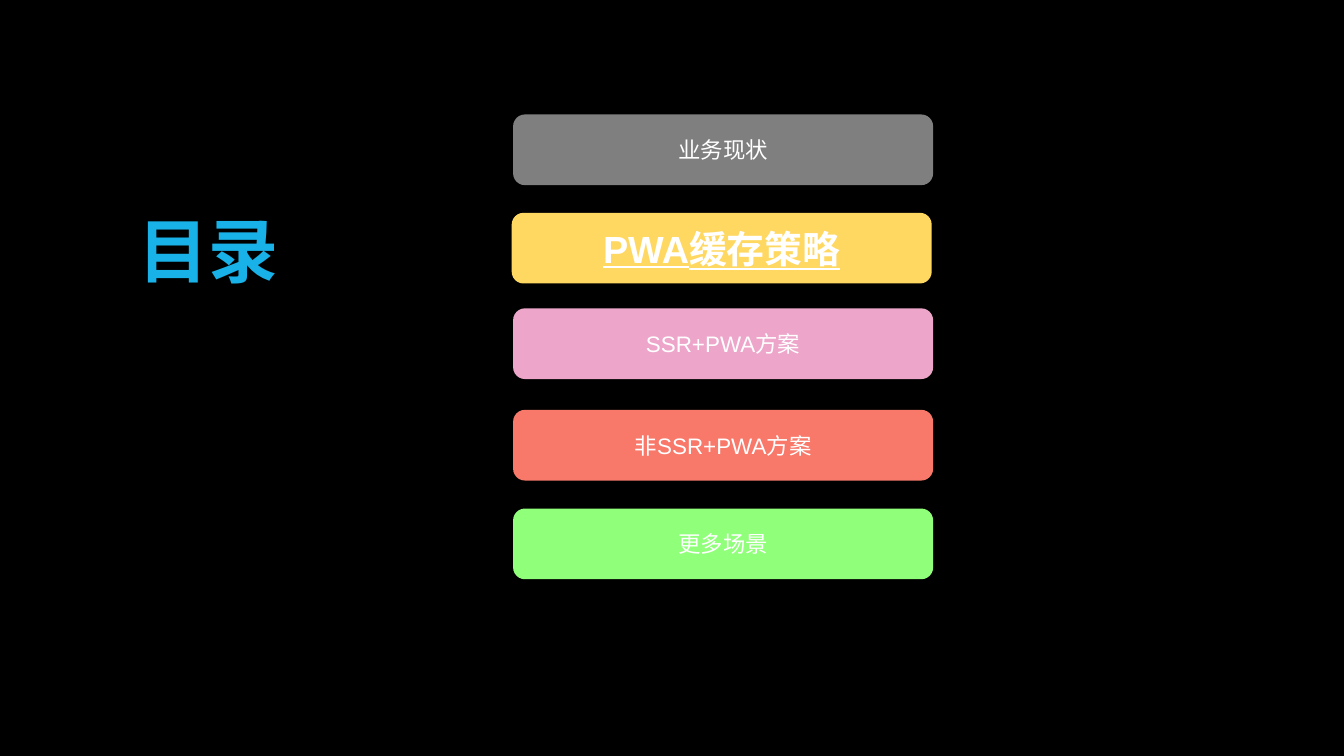
from pptx import Presentation
from pptx.dml.color import RGBColor
from pptx.enum.shapes import MSO_SHAPE
from pptx.enum.text import MSO_ANCHOR, MSO_AUTO_SIZE, PP_ALIGN
from pptx.oxml.ns import qn
from pptx.util import Pt

ROUNDED = MSO_SHAPE.ROUNDED_RECTANGLE
MIDDLE = MSO_ANCHOR.MIDDLE
CENTER = PP_ALIGN.CENTER
FIT_SHAPE = MSO_AUTO_SIZE.SHAPE_TO_FIT_TEXT
TITLE_ONLY = 5

COLORS = {
    "background": "000000",
    "title": "18B2E8",
    "text": "FFFFFF",
    "gray": "7F7F7F",
    "yellow": "FFD862",
    "pink": "EDA6CA",
    "coral": "F8786A",
    "green": "90FF7A",
}
LATIN_FONT = "Arial"
CHINESE_FONT = "Noto Sans CJK SC"
INSET = 4.5
ENTRY_WIDTH, ENTRY_HEIGHT = 600, 101


class Agenda:
    """Holds the text style and the slide being built."""

    def __init__(self, slide):
        self.slide = slide
        background = slide.background.fill
        background.solid()
        background.fore_color.rgb = self.color("background")

    def color(self, name):
        return RGBColor.from_string(COLORS[name])

    def label(self, shape, text, size, font_name, color, emphasis=False):
        """Put centred text into a shape and return its font."""
        frame = shape.text_frame
        frame.text = text
        frame.vertical_anchor = MIDDLE
        frame.margin_left = frame.margin_right = Pt(INSET)
        frame.margin_top = frame.margin_bottom = Pt(INSET)
        paragraph = frame.paragraphs[0]
        paragraph.alignment = CENTER
        run = paragraph.runs[0]
        font = run.font
        font.size = Pt(size)
        font.name = font_name
        font.bold = emphasis
        font.color.rgb = self.color(color)
        properties = run._r.get_or_add_rPr()
        east_asian = properties.makeelement(
            qn("a:ea"), {"typeface": CHINESE_FONT})
        properties.find(qn("a:latin")).addnext(east_asian)
        return font

    def title(self, text, left, top, width, height):
        heading = self.slide.shapes.title
        heading.left, heading.top = Pt(left), Pt(top)
        heading.width, heading.height = Pt(width), Pt(height)
        self.label(heading, text, 100, CHINESE_FONT, "title", emphasis=True)
        heading.text_frame.word_wrap = False
        heading.text_frame.auto_size = FIT_SHAPE

    def entry(self, text, left, top, fill, current=False):
        box = self.slide.shapes.add_shape(
            ROUNDED, Pt(left), Pt(top), Pt(ENTRY_WIDTH), Pt(ENTRY_HEIGHT))
        box.shadow.inherit = False
        box.fill.solid()
        box.fill.fore_color.rgb = self.color(fill)
        box.line.fill.background()
        font = self.label(
            box, text, 54 if current else 32, LATIN_FONT, "text", current)
        font.underline = current
        box.text_frame.word_wrap = True


def main():
    presentation = Presentation()
    presentation.slide_width, presentation.slide_height = Pt(1920), Pt(1080)
    layout = presentation.slide_layouts[TITLE_ONLY]
    agenda = Agenda(presentation.slides.add_slide(layout))

    agenda.title("目录", 193.5, 286, 209, 141)
    left = 733
    agenda.entry("业务现状", left, 163.5, "gray")
    agenda.entry("PWA缓存策略", left - 2, 304, "yellow", current=True)
    agenda.entry("SSR+PWA方案", left, 440.5, "pink")
    agenda.entry("非SSR+PWA方案", left, 585.5, "coral")
    agenda.entry("更多场景", left, 726.5, "green")

    presentation.save("out.pptx")


if __name__ == "__main__":
    main()
